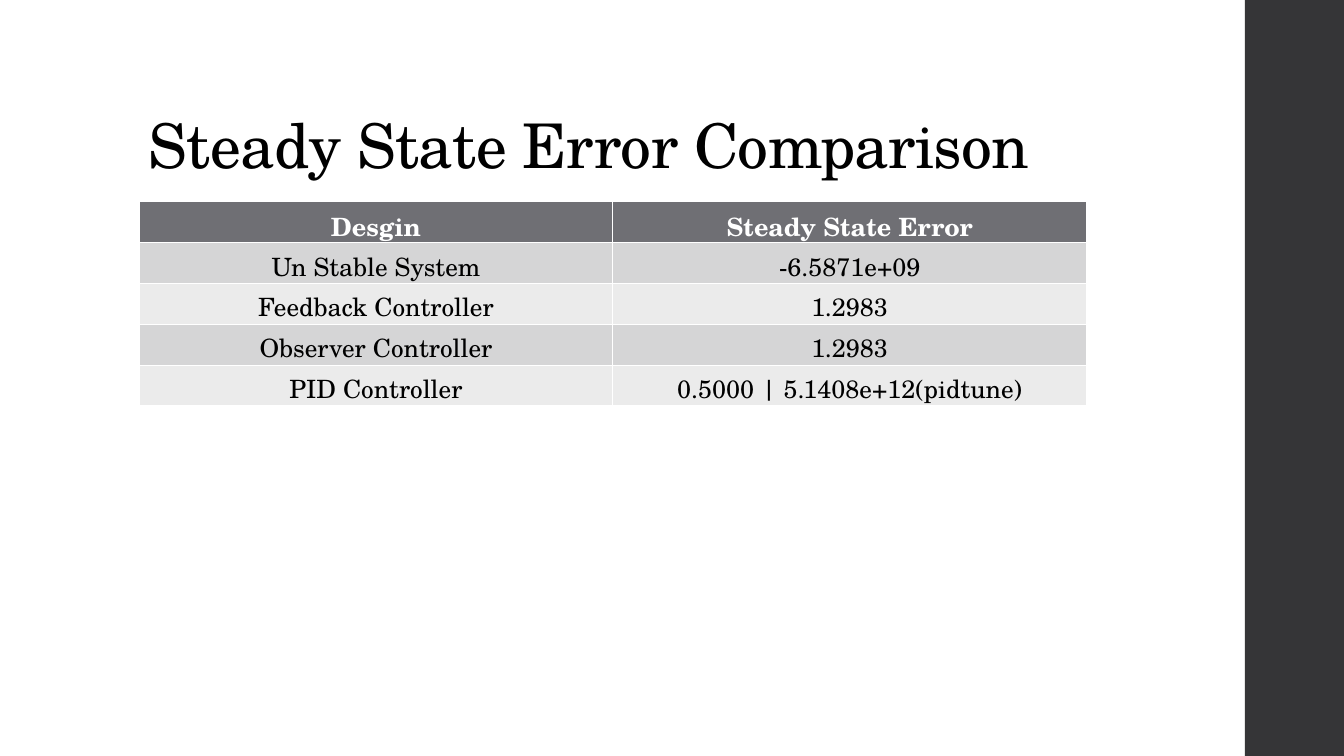
from pptx import Presentation
from pptx.dml.color import RGBColor
from pptx.enum import shapes, text
from pptx.util import Pt

TITLE = "Steady State Error Comparison"
ROWS = [
    ("Desgin", "Steady State Error"),
    ("Un Stable System", "-6.5871e+09"),
    ("Feedback Controller", "1.2983"),
    ("Observer Controller", "1.2983"),
    ("PID Controller", "0.5000 | 5.1408e+12(pidtune)"),
]
FACE = "TeX Gyre Schola"
HEAD, BANDS = "6F6F74", ("D5D5D6", "EBEBEB")
WIDE, HIGH = 960, 540
LEFT, TOP = 99.36, 144
COL, ROW = 338.4, 29.2


def paint(fill, tone):
    fill.solid()
    fill.fore_color.rgb = RGBColor.from_string(tone)


def style(para, size, tone, bold=False):
    font = para.font
    font.name, font.size, font.bold = FACE, Pt(size), bold
    paint(font.fill, tone)


deck = Presentation()
deck.slide_width, deck.slide_height = Pt(WIDE), Pt(HIGH)
slide = deck.slides.add_slide(deck.slide_layouts[6])

bar = slide.shapes.add_shape(
    shapes.MSO_SHAPE.RECTANGLE, Pt(889.2), 0, Pt(WIDE - 889.2), Pt(HIGH))
bar.shadow.inherit = False
paint(bar.fill, "353537")
bar.line.fill.background()

frame = slide.shapes.add_textbox(
    Pt(LEFT), Pt(28.8), Pt(763.2), Pt(104.4)).text_frame
frame.word_wrap = True
frame.vertical_anchor = text.MSO_ANCHOR.BOTTOM
para = frame.paragraphs[0]
para.text = TITLE
para.line_spacing = 0.9
style(para, 44, "000000")
para.runs[0].font._element.set("spc", "-50")

table = slide.shapes.add_table(
    len(ROWS), 2, Pt(LEFT), Pt(TOP), Pt(2 * COL), Pt(len(ROWS) * ROW)).table
for col in table.columns:
    col.width = Pt(COL)
for r, row in enumerate(ROWS):
    table.rows[r].height = Pt(ROW)
    for c, word in enumerate(row):
        cell = table.cell(r, c)
        paint(cell.fill, BANDS[(r - 1) % 2] if r else HEAD)
        para = cell.text_frame.paragraphs[0]
        para.text = word
        para.alignment = text.PP_ALIGN.CENTER
        style(para, 18, "000000" if r else "FFFFFF", r == 0)

deck.save("out.pptx")
